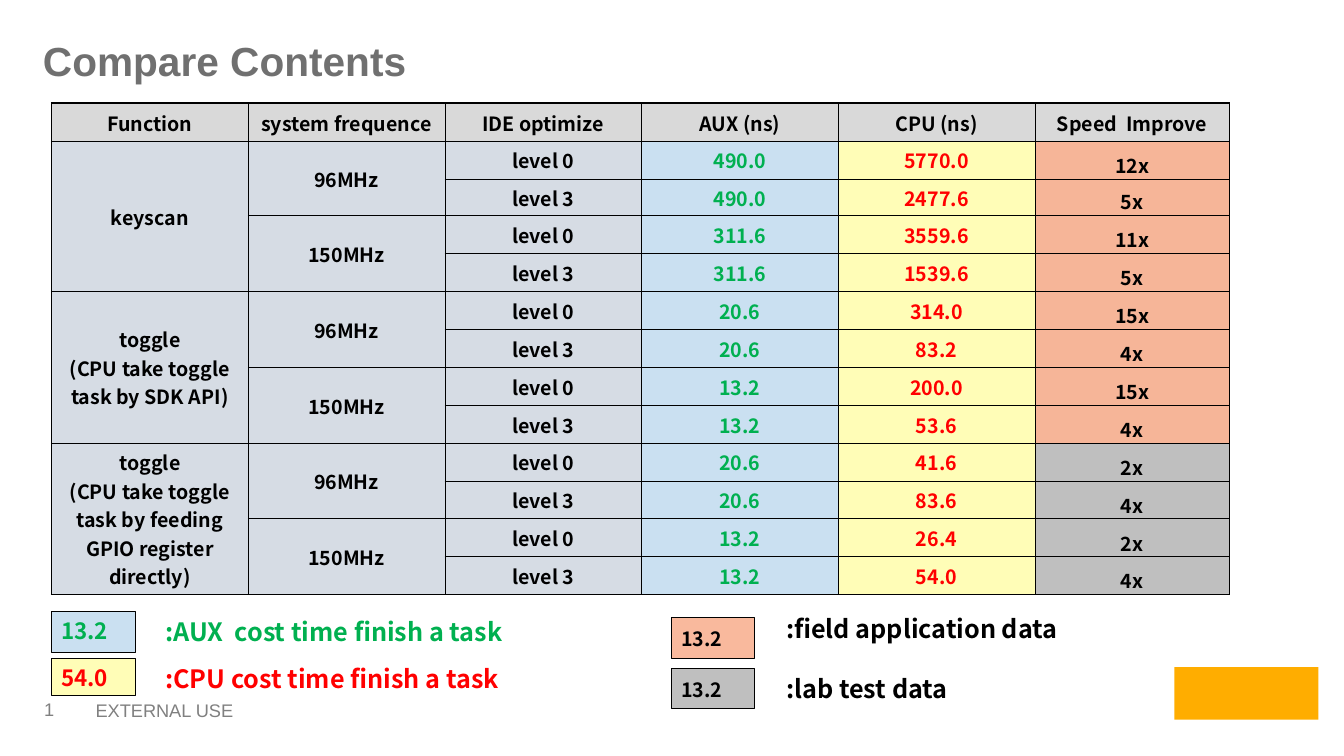
from itertools import product

from lxml.etree import SubElement
from pptx import Presentation
from pptx.dml.color import RGBColor
from pptx.enum.shapes import MSO_SHAPE as SHAPE
from pptx.enum.text import MSO_ANCHOR as ANCHOR, MSO_AUTO_SIZE as AUTO, PP_ALIGN as ALIGN
from pptx.oxml.ns import qn
from pptx.util import Pt

COLORS = {
    "black": "000000", "title": "707070", "footer": "808080",
    "header": "D9D9D9", "label": "D6DCE4", "helper": "CAE0F1", "core": "FFFDB7",
    "field": "F6B598", "field_key": "F9B99D", "lab": "BFBFBF",
    "green": "00B050", "red": "FF0000", "amber": "FFAD00",
}
SANS, CJK = "Arial", "Noto Sans CJK SC"

HEADERS = ["Function", "system frequence", "IDE optimize",
           "AUX (ns)", "CPU (ns)", "Speed  Improve"]
FUNCTIONS = ["keyscan",
             "toggle\n(CPU take toggle task by SDK API)",
             "toggle\n(CPU take toggle task by feeding GPIO register directly)"]
FREQUENCIES = ["96MHz", "150MHz"]
LEVELS = ["level 0", "level 3"]
RESULTS = [
    ("490.0", "5770.0", "12x"), ("490.0", "2477.6", "5x"),
    ("311.6", "3559.6", "11x"), ("311.6", "1539.6", "5x"),
    ("20.6", "314.0", "15x"), ("20.6", "83.2", "4x"),
    ("13.2", "200.0", "15x"), ("13.2", "53.6", "4x"),
    ("20.6", "41.6", "2x"), ("20.6", "83.6", "4x"),
    ("13.2", "26.4", "2x"), ("13.2", "54.0", "4x"),
]
LAST_ROW, LAST_COL = len(RESULTS), len(HEADERS) - 1
FIRST_LAB_ROW = 9


def rgb(name):
    return RGBColor.from_string(COLORS[name])


def write(tf, text, size, color, font=CJK, bold=True, align=ALIGN.LEFT):
    tf.word_wrap = True
    p = tf.paragraphs[0]
    p.text = text
    p.alignment = align
    for r in p.runs:
        r.font.size, r.font.name, r.font.bold = Pt(size), font, bold
        r.font.color.rgb = rgb(color)
    for br in p._p.findall(qn("a:br")):
        SubElement(br, qn("a:rPr"), sz=str(size * 100))


def add_title(slide, text):
    sp = slide.shapes.title
    sp.left, sp.top, sp.width, sp.height = Pt(23.5), Pt(22), Pt(918), Pt(52)
    tf = sp.text_frame
    tf.auto_size = AUTO.NONE
    tf.vertical_anchor = ANCHOR.TOP
    write(tf, text, 29, "title", SANS)


def add_label(slide, x, y, w, h, text, size, color, font=CJK, bold=True):
    sp = slide.shapes.add_textbox(Pt(x), Pt(y), Pt(w), Pt(h))
    write(sp.text_frame, text, size, color, font, bold)
    return sp


def add_box(slide, x, y, w, h, fill, line=None):
    sp = slide.shapes.add_shape(SHAPE.RECTANGLE, Pt(x), Pt(y), Pt(w), Pt(h))
    sp.shadow.inherit = False
    sp.fill.solid()
    sp.fill.fore_color.rgb = rgb(fill)
    if line:
        sp.line.color.rgb = rgb(line)
        sp.line.width = Pt(0.75)
    else:
        sp.line.fill.background()
    return sp


def add_key(slide, x, y, h, fill, value, size, color):
    tf = add_box(slide, x, y, 59.8, h, fill, "black").text_frame
    tf.vertical_anchor = ANCHOR.TOP
    tf.margin_top = Pt(6.5 if size == 14 else 4)
    write(tf, value, size, color)


def set_borders(cell, outer):
    tc_pr = cell._tc.get_or_add_tcPr()
    for side in "LRTB":
        width = Pt(1) if side in outer else Pt(0.5)
        ln = SubElement(tc_pr, qn(f"a:ln{side}"), w=str(width))
        fill = SubElement(ln, qn("a:solidFill"))
        SubElement(fill, qn("a:srgbClr"), val=COLORS["black"])


def set_cell(table, row, col, text, fill, color="black", span=1):
    bottom = row + span - 1
    if span > 1:
        table.cell(row, col).merge(table.cell(bottom, col))
    edges = {"L": col == 0, "R": col == LAST_COL,
             "T": row == 0, "B": bottom == LAST_ROW}
    outer = [side for side, on_edge in edges.items() if on_edge]
    for r in range(row, bottom + 1):
        cell = table.cell(r, col)
        set_borders(cell, outer)
        cell.fill.solid()
        cell.fill.fore_color.rgb = rgb(fill)
    cell = table.cell(row, col)
    cell.margin_left = cell.margin_right = cell.margin_top = Pt(0.7)
    cell.margin_bottom = Pt(0)
    is_speed = row > 0 and col == LAST_COL
    cell.vertical_anchor = ANCHOR.BOTTOM if is_speed else ANCHOR.MIDDLE
    write(cell.text_frame, text, 14, color, align=ALIGN.CENTER)


def add_comparison(slide):
    frame = slide.shapes.add_table(LAST_ROW + 1, LAST_COL + 1,
                                   Pt(36.8), Pt(73.6), Pt(841.5), Pt(351.4))
    table = frame.table
    for i, column in enumerate(table.columns):
        column.width = Pt(139) if i == LAST_COL else Pt(140.5)
    for i, row in enumerate(table.rows):
        row.height = Pt(26) if i == 2 else Pt(27.12)

    for col, text in enumerate(HEADERS):
        set_cell(table, 0, col, text, "header")
    settings = product(FUNCTIONS, FREQUENCIES, LEVELS)
    for row, (setting, result) in enumerate(zip(settings, RESULTS), 1):
        function, frequency, level = setting
        helper, core, speed = result
        if row % 4 == 1:
            set_cell(table, row, 0, function, "label", span=4)
        if row % 2 == 1:
            set_cell(table, row, 1, frequency, "label", span=2)
        set_cell(table, row, 2, level, "label")
        set_cell(table, row, 3, helper, "helper", "green")
        set_cell(table, row, 4, core, "core", "red")
        set_cell(table, row, 5, speed, "lab" if row >= FIRST_LAB_ROW else "field")


def add_legend(slide):
    entries = [
        (36.7, 437, 28.8, "helper", "13.2", 16, "green",
         110.9, 437, ":AUX  cost time finish a task"),
        (36.7, 470.2, 26.6, "core", "54.0", 16, "red",
         110.9, 470.2, ":CPU cost time finish a task"),
        (479.5, 441.4, 28.8, "field_key", "13.2", 14, "black",
         554.4, 434.2, ":field application data"),
        (479.5, 477.4, 28.8, "lab", "13.2", 14, "black",
         554.4, 477.4, ":lab test data"),
    ]
    for x, y, h, fill, value, size, color, text_x, text_y, text in entries:
        add_key(slide, x, y, h, fill, value, size, color)
        add_label(slide, text_x, text_y, 383, 28.8, text, 18, color)


def add_footer(slide):
    add_label(slide, 61.2, 496, 286.6, 24.5, "EXTERNAL USE", 13, "footer", SANS, False)
    number = add_label(slide, 26.6, 496, 46.8, 21.6, "1", 13, "footer", SANS, False)
    tf = number.text_frame
    tf.vertical_anchor = ANCHOR.MIDDLE
    tf.margin_left = tf.margin_right = Pt(5)
    tf.margin_top = tf.margin_bottom = Pt(2.9)
    add_box(slide, 838.8, 476.6, 103, 37.4, "amber")


def main():
    prs = Presentation()
    prs.slide_width, prs.slide_height = Pt(960), Pt(540)
    slide = prs.slides.add_slide(prs.slide_layouts[5])
    add_title(slide, "Compare Contents")
    add_comparison(slide)
    add_legend(slide)
    add_footer(slide)
    prs.save("out.pptx")


if __name__ == "__main__":
    main()
